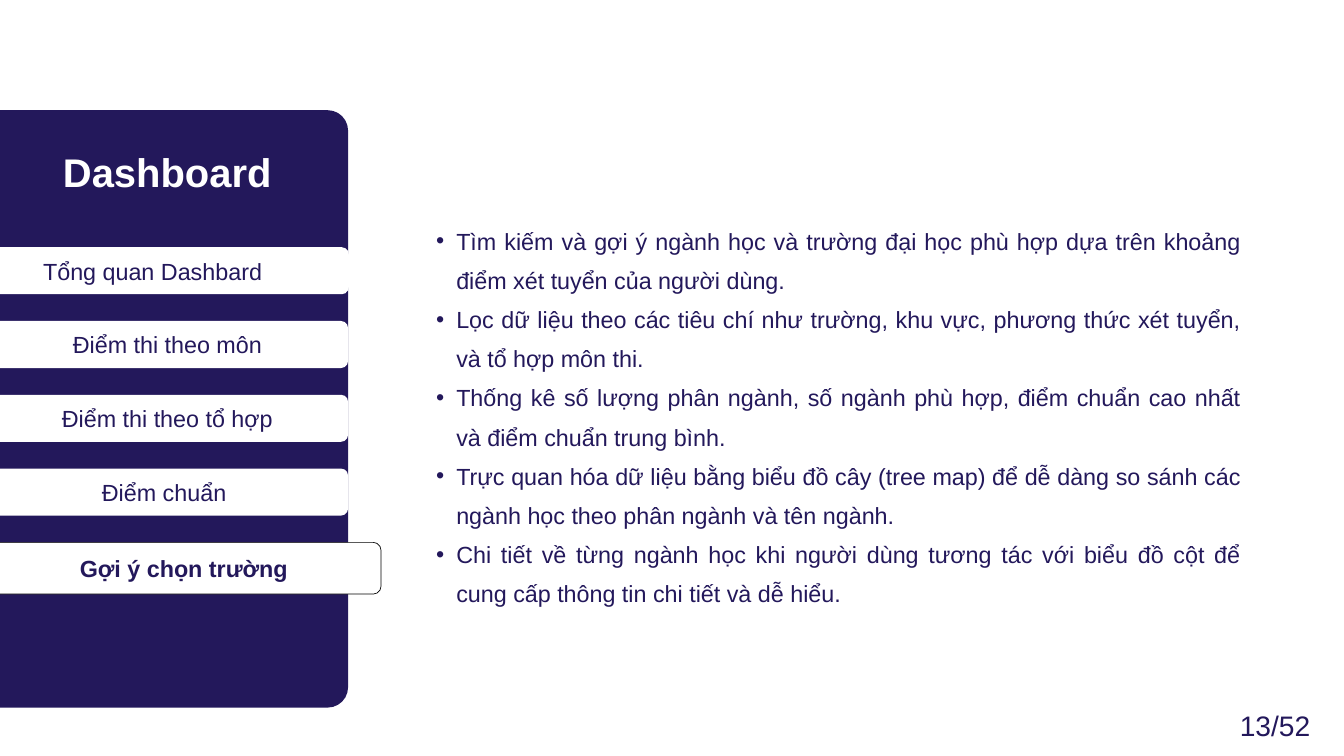
from lxml import etree
from pptx import Presentation
from pptx.dml.color import RGBColor
from pptx.enum.shapes import MSO_SHAPE
from pptx.enum.text import MSO_ANCHOR, MSO_AUTO_SIZE, PP_ALIGN
from pptx.oxml.ns import qn
from pptx.util import Inches, Pt

ROUND = MSO_SHAPE.ROUNDED_RECTANGLE
MIDDLE, TOP = MSO_ANCHOR.MIDDLE, MSO_ANCHOR.TOP
CENTER, RIGHT, JUSTIFY = PP_ALIGN.CENTER, PP_ALIGN.RIGHT, PP_ALIGN.JUSTIFY
FIXED = MSO_AUTO_SIZE.NONE

NAVY, WHITE, BLACK = "23185B", "FFFFFF", "000000"
TABS = [
    ("Tổng quan Dashbard", -3.25, 29.2),
    ("Điểm thi theo môn", -1, 26.9),
    ("Điểm thi theo tổ hợp", -1, 26.9),
    ("Điểm chuẩn ", -1, 26.9),
]
POINTS = [
    "Tìm kiếm và gợi ý ngành học và trường đại học phù hợp dựa trên khoảng điểm xét tuyển của người dùng.",
    "Lọc dữ liệu theo các tiêu chí như trường, khu vực, phương thức xét tuyển, và tổ hợp môn thi.",
    "Thống kê số lượng phân ngành, số ngành phù hợp, điểm chuẩn cao nhất và điểm chuẩn trung bình.",
    "Trực quan hóa dữ liệu bằng biểu đồ cây (tree map) để dễ dàng so sánh các ngành học theo phân ngành và tên ngành.",
    "Chi tiết về từng ngành học khi người dùng tương tác với biểu đồ cột để cung cấp thông tin chi tiết và dễ hiểu.",
]


def color(code):
    """Turn a hex string into a colour."""
    return RGBColor.from_string(code)


def assign(item, values):
    """Set each attribute in a dict of format values."""
    for name, value in values.items():
        setattr(item, name, value)


class Page:
    """Hold the style and the slide, on a grid of 100 columns and 100 rows."""

    font = "Arial"
    size = 25

    def __init__(self, deck):
        """Add a title-only slide to the deck."""
        self.col, self.row = deck.slide_width / 100, deck.slide_height / 100
        self.slide = deck.slides.add_slide(deck.slide_layouts[5])
        self.shapes = self.slide.shapes

    def place(self, left, top, width, height):
        """Turn columns and rows into lengths."""
        return (round(left * self.col), round(top * self.row),
                round(width * self.col), round(height * self.row))

    def fill_text(self, shape, lines, ink=NAVY, size=size, bold=False, align=CENTER,
                  anchor=MIDDLE, inset=0.06, space=1, bullet=False):
        """Fill a shape with formatted paragraphs."""
        frame = shape.text_frame
        sides = ("left", "right", "top", "bottom")
        assign(frame, {f"margin_{side}": Inches(inset) for side in sides})
        assign(frame, {"word_wrap": True, "auto_size": FIXED, "vertical_anchor": anchor})
        frame.text = "\n".join(lines)
        for para in frame.paragraphs:
            if bullet:
                self.bullet(para)
            assign(para, {"alignment": align, "line_spacing": space})
            for run in para.runs:
                assign(run.font, {"name": self.font, "size": Pt(size), "bold": bold})
                run.font.color.rgb = color(ink)

    def bullet(self, para):
        """Give a paragraph a hanging round bullet."""
        props = para._p.get_or_add_pPr()
        props.set("marL", str(Inches(0.59)))
        props.set("indent", str(Inches(-0.3)))
        tint = etree.SubElement(props, qn("a:buClr"))
        etree.SubElement(tint, qn("a:srgbClr")).set("val", NAVY)
        etree.SubElement(props, qn("a:buFont")).set("typeface", self.font)
        etree.SubElement(props, qn("a:buChar")).set("char", "•")

    def block(self, area, fill, curve, line=None):
        """Draw a rounded block."""
        shape = self.shapes.add_shape(ROUND, *self.place(*area))
        shape.shadow.inherit = False
        shape.adjustments[0] = curve
        shape.fill.solid()
        shape.fill.fore_color.rgb = color(fill)
        if line:
            shape.line.color.rgb = color(line)
            shape.line.width = Pt(0.75)
        else:
            shape.line.fill.background()
        return shape

    def tab(self, text, area, line=None, bold=False):
        """Draw a menu tab with its label."""
        self.fill_text(self.block(area, WHITE, 0.15, line), [text], bold=bold)

    def title(self, text, area):
        """Format the title and bring it to the front."""
        shape = self.shapes.title
        names = ("left", "top", "width", "height")
        assign(shape, dict(zip(names, self.place(*area))))
        self.fill_text(shape, [text], ink=WHITE, size=42.8, bold=True)
        self.shapes._spTree.append(shape._element)

    def text(self, lines, area, **style):
        """Add a plain text box."""
        box = self.shapes.add_textbox(*self.place(*area))
        self.fill_text(box, lines, anchor=TOP, inset=0, **style)


def main():
    """Build and save the slide."""
    deck = Presentation()
    assign(deck, {"slide_width": Inches(20), "slide_height": Inches(11.25)})
    page = Page(deck)
    page.block((-4.4, 14.58, 30.3, 79.02), NAVY, 0.05)
    page.title("Dashboard", (0.85, 17.69, 23.2, 9.96))
    first, pitch = 32.7, 9.76
    for index, (label, left, width) in enumerate(TABS):
        page.tab(label, (left, first + index * pitch, width, 6.22))
    page.tab("Gợi ý chọn trường", (-1, first + len(TABS) * pitch, 29.35, 6.84),
             line=BLACK, bold=True)
    page.text(POINTS, (31, 28.53, 61.3, 42.4), align=JUSTIFY, space=1.4, bullet=True)
    page.text(["13/52"], (82.25, 92.09, 15.25, 4.8), size=30.2, align=RIGHT, space=1.35)
    deck.save("out.pptx")


if __name__ == "__main__":
    main()
